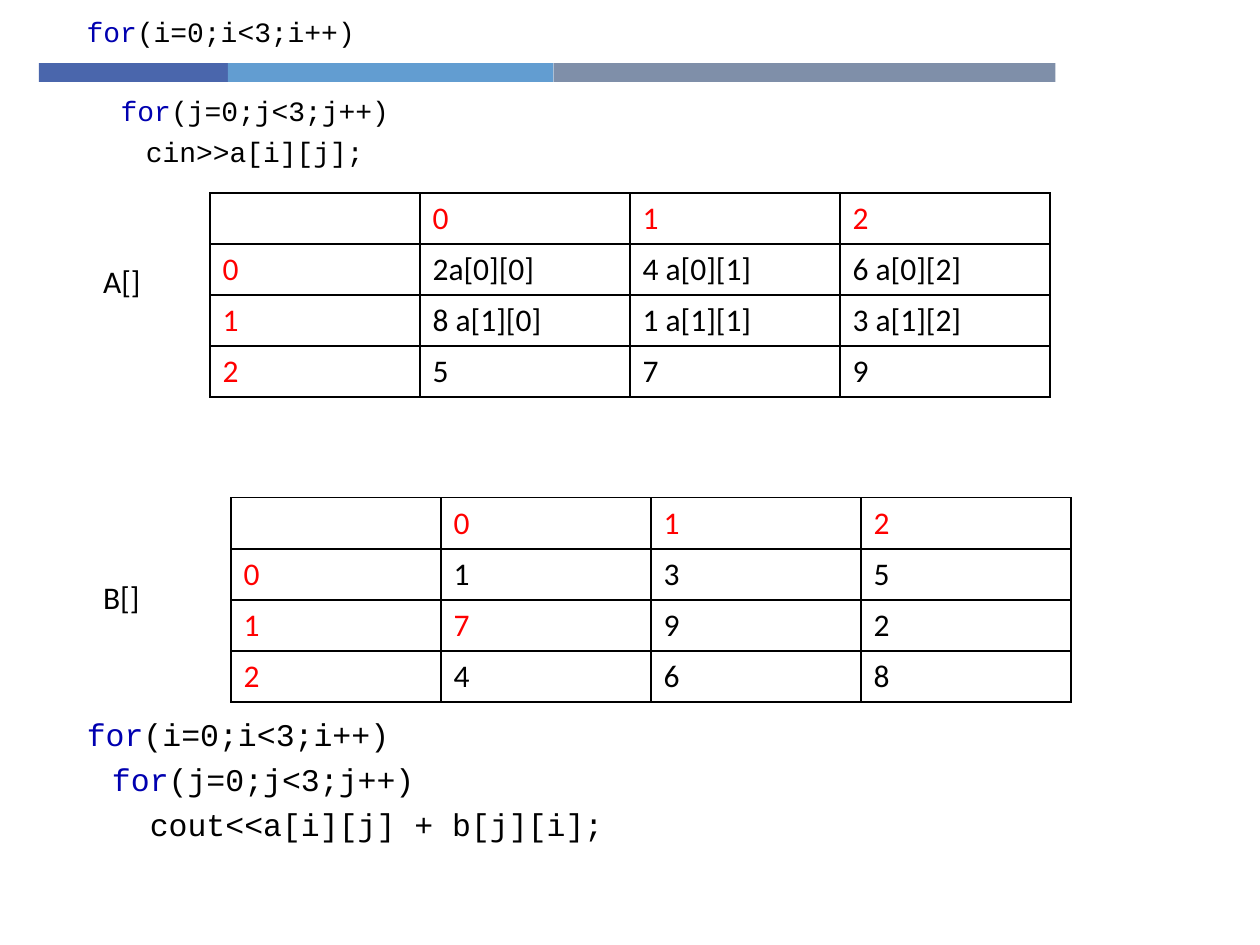
from itertools import accumulate

from lxml import etree
from pptx import Presentation, util as u
from pptx.dml.color import RGBColor
from pptx.enum import shapes, text
from pptx.oxml.ns import qn

COLORS = {"ink": "000000", "index": "FF0000", "keyword": "0000B0",
          "blue": "4A66AC", "sky": "629DD1", "slate": "7F8FA9"}
COLUMNS, ROWS = 60, 100


def write(paragraph, wording, size=18, font="Calibri", color="ink"):
    """Add one formatted run to a paragraph."""
    run = paragraph.add_run()
    run.text = wording
    run.font.size = u.Pt(size)
    run.font.name = font
    run.font.color.rgb = RGBColor.from_string(COLORS[color])


class MatrixSlide:
    """Hold the style and the current slide, measured on a 60 by 100 grid."""

    def __init__(self, deck):
        self.column = deck.slide_width / COLUMNS
        self.row = deck.slide_height / ROWS
        self.slide = deck.slides.add_slide(deck.slide_layouts[6])

    def place(self, left, top, width, height):
        """Turn grid units into lengths."""
        return (u.Emu(round(left * self.column)), u.Emu(round(top * self.row)),
                u.Emu(round(width * self.column)), u.Emu(round(height * self.row)))

    def band(self, left, top, width, height, color):
        """Draw a plain filled bar."""
        bar = self.slide.shapes.add_shape(
            shapes.MSO_SHAPE.RECTANGLE, *self.place(left, top, width, height))
        bar.shadow.inherit = False
        bar.fill.solid()
        bar.fill.fore_color.rgb = RGBColor.from_string(COLORS[color])
        bar.line.fill.background()

    def label(self, left, top, wording):
        """Name a matrix beside its table."""
        frame = self.slide.shapes.add_textbox(*self.place(left, top, 3, 5.33)).text_frame
        frame.word_wrap = False
        frame.auto_size = text.MSO_AUTO_SIZE.SHAPE_TO_FIT_TEXT
        write(frame.paragraphs[0], wording)

    def code(self, area, lines, size):
        """Write code lines given as (indent, gap before, keyword, rest)."""
        frame = self.slide.shapes.add_textbox(*self.place(*area)).text_frame
        frame.word_wrap = True
        for number, (indent, gap, keyword, rest) in enumerate(lines):
            paragraph = frame.add_paragraph() if number else frame.paragraphs[0]
            paragraph.line_spacing = 1.15
            paragraph.space_before = u.Pt(gap)
            paragraph.space_after = u.Pt(1)
            properties = paragraph._p.get_or_add_pPr()
            properties.set("marL", str(u.Inches(indent)))
            properties.set("indent", "0")
            if keyword:
                write(paragraph, keyword, size=size, font="Courier New", color="keyword")
            write(paragraph, rest, size=size, font="Courier New")

    def matrix(self, left, top, values, marked=()):
        """Draw a square matrix with red row and column indexes."""
        indexes = [str(index) for index in range(len(values))]
        grid = [["", *indexes]] + [[index, *line] for index, line in zip(indexes, values)]
        count = len(grid)
        table = self.slide.shapes.add_table(
            count, count, *self.place(left, top, 10 * count, 5.4 * count)).table
        table.first_row = table.horz_banding = False
        for r, line in enumerate(grid):
            for c, wording in enumerate(line):
                cell = table.cell(r, c)
                cell.fill.background()
                self.border(cell)
                if wording:
                    red = r == 0 or c == 0 or (r - 1, c - 1) in marked
                    write(cell.text_frame.paragraphs[0], wording,
                          color="index" if red else "ink")

    def border(self, cell):
        """Outline a cell with thin lines on all sides."""
        properties = cell._tc.get_or_add_tcPr()
        for position, side in enumerate(("lnL", "lnR", "lnT", "lnB")):
            line = etree.Element(qn(f"a:{side}"), w=str(u.Pt(1)))
            fill = etree.SubElement(line, qn("a:solidFill"))
            etree.SubElement(fill, qn("a:srgbClr"), val=COLORS["ink"])
            properties.insert(position, line)


def main():
    """Build the slide on adding one matrix to another."""
    deck = Presentation()
    deck.slide_width, deck.slide_height = u.Inches(10), u.Inches(7.5)
    page = MatrixSlide(deck)

    widths = [9, 15.5, 23.9]
    starts = accumulate(widths, initial=1.86)
    for left, width, color in zip(starts, widths, ("blue", "sky", "slate")):
        page.band(left, 6.67, width, 2, color)

    page.matrix(10, 20.4, [["2a[0][0]", "4 a[0][1]", "6 a[0][2]"],
                           ["8 a[1][0]", "1 a[1][1]", "3 a[1][2]"],
                           ["5", "7", "9"]])
    page.matrix(11, 52.67, ["135", "792", "468"], marked=[(1, 0)])
    page.label(4.32, 27.07, "A[]")
    page.label(4.32, 60.53, "B[]")

    outer, inner = "(i=0;i<3;i++)", "(j=0;j<3;j++)"
    page.code((2.34, 74.4, 27.2, 19.33),
              [(0.2, 0, "for", outer), (0.4, 0, "for", inner),
               (0.7, 0, "", "cout<<a[i][j] + b[j][i];")], size=18)
    page.code((2.34, 0.4, 30, 17.87),
              [(0.2, 0, "for", outer), (0.47, 22, "for", inner),
               (0.67, 0, "", "cin>>a[i][j];")], size=16)
    deck.save("out.pptx")


if __name__ == "__main__":
    main()
